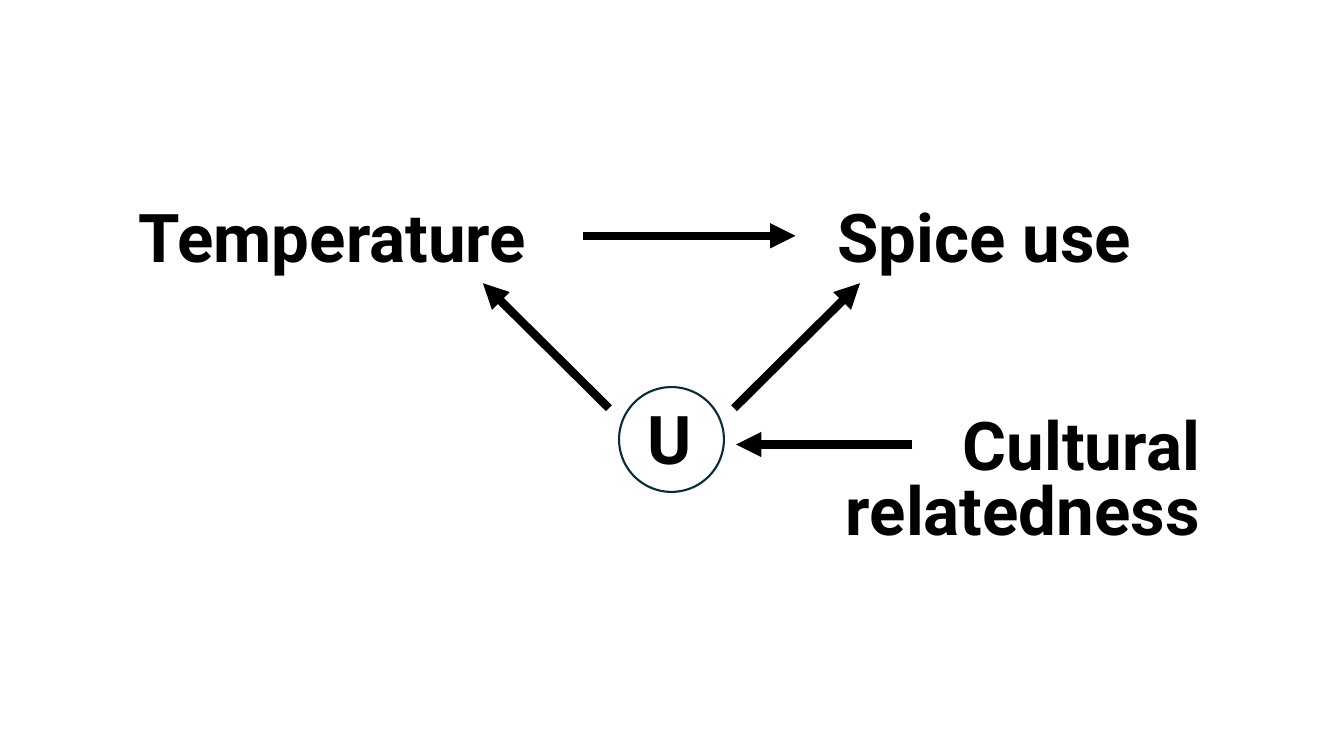
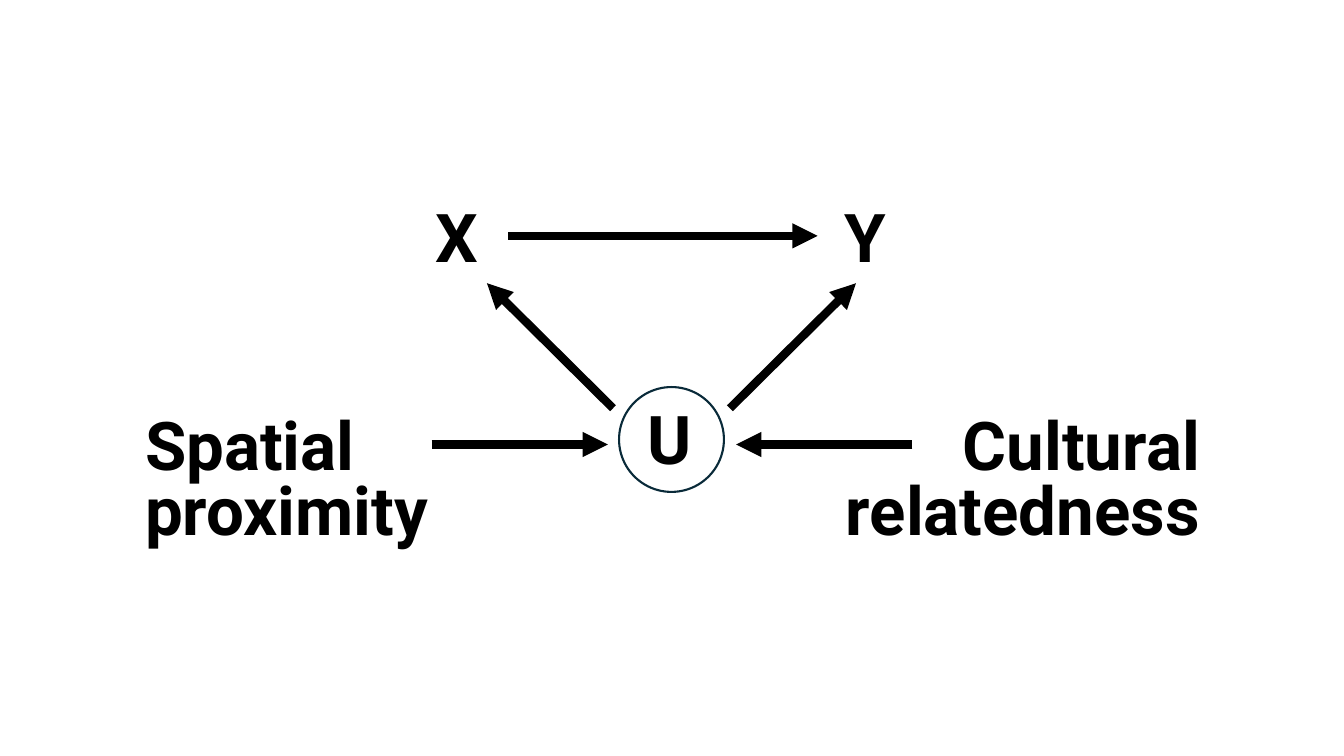
import pptx
import pptx.dml.color
import pptx.enum.shapes
import pptx.enum.text
import pptx.oxml
import pptx.oxml.ns
import pptx.util
from pptx.util import Inches

FONT = "Roboto"
INK = "000000"
CIRCLE_LINE = "092A39"
LABEL_HEIGHT = 0.91
CAUSE_HEIGHT = 1.39
CIRCLE_SIZE = 1.04
CENTRE = 6.66
LABEL_TOP = 1.89
CIRCLE_TOP = 3.84
CAUSE_TOP = 4.11


def color(value):
    return pptx.dml.color.RGBColor.from_string(value)


def add_label(slide, text, left, top, width, height=LABEL_HEIGHT,
              wrap=False, align=pptx.enum.text.PP_ALIGN.LEFT, spacing=1.0):
    box = slide.shapes.add_textbox(Inches(left), Inches(top), Inches(width), Inches(height))
    frame = box.text_frame
    frame.word_wrap = wrap
    frame.auto_size = pptx.enum.text.MSO_AUTO_SIZE.SHAPE_TO_FIT_TEXT
    frame.text = text
    paragraph = frame.paragraphs[0]
    paragraph.alignment = align
    paragraph.line_spacing = spacing
    font = paragraph.runs[0].font
    font.name = FONT
    font.size = pptx.util.Pt(48)
    font.bold = True
    font.color.rgb = color(INK)


def add_arrow(slide, start, end):
    arrow = slide.shapes.add_connector(
        pptx.enum.shapes.MSO_CONNECTOR.STRAIGHT, *map(Inches, start + end))
    arrow.line.color.rgb = color(INK)
    arrow.line.width = pptx.util.Pt(6)
    tail = pptx.oxml.parse_xml(
        f'<a:tailEnd {pptx.oxml.ns.nsdecls("a")} type="triangle"/>')
    arrow.line._get_or_add_ln().append(tail)
    effects = pptx.oxml.parse_xml(f'<a:effectLst {pptx.oxml.ns.nsdecls("a")}/>')
    arrow._element.spPr.append(effects)


def add_variable_pair(slide, top, exposure, outcome, arrow_span):
    for text, left, width in (exposure, outcome):
        add_label(slide, text, left, top, width)
    start, end = arrow_span
    middle = top + 0.45
    add_arrow(slide, (start, middle), (end, middle))


def add_confounder(slide, centre, top, arrow_gap):
    for side in (-1, 1):
        start = centre + side * arrow_gap
        add_arrow(slide, (start, top + 0.21), (start + side * 1.25, top - 1.03))
    add_label(slide, "U", centre - 0.34, top + 0.05, 0.69)
    circle = slide.shapes.add_shape(
        pptx.enum.shapes.MSO_SHAPE.OVAL, Inches(centre - CIRCLE_SIZE / 2),
        Inches(top), Inches(CIRCLE_SIZE), Inches(CIRCLE_SIZE))
    circle.shadow.inherit = False
    circle.fill.background()
    circle.line.color.rgb = color(CIRCLE_LINE)
    circle.line.width = pptx.util.Pt(1.5)


def add_cause(slide, text, left, top, width, align, arrow_start, arrow_end):
    add_label(slide, text, left, top, width, CAUSE_HEIGHT, True, align, 0.8)
    add_arrow(slide, (arrow_start, top + 0.3), (arrow_end, top + 0.3))


def add_cultural_cause(slide):
    add_cause(slide, "Cultural relatedness", 7.79, CAUSE_TOP, 4.21,
              pptx.enum.text.PP_ALIGN.RIGHT, 9.05, 7.3)


def add_spatial_cause(slide):
    add_cause(slide, "Spatial proximity", 1.34, CAUSE_TOP, 3.79,
              pptx.enum.text.PP_ALIGN.LEFT, 4.28, 6.03)


def add_diagram_slide(presentation, exposure, outcome, arrow_span, arrow_gap, causes):
    slide = presentation.slides.add_slide(presentation.slide_layouts[6])
    add_variable_pair(slide, LABEL_TOP, exposure, outcome, arrow_span)
    add_confounder(slide, CENTRE, CIRCLE_TOP, arrow_gap)
    for add_cause_region in causes:
        add_cause_region(slide)


def main():
    presentation = pptx.Presentation()
    presentation.slide_width = Inches(13.33)
    presentation.slide_height = Inches(7.5)
    add_diagram_slide(presentation, ("Temperature", 1.28, 4.23), ("Spice use", 8.21, 3.35),
                      (5.78, 7.89), 0.62, [add_cultural_cause])
    add_diagram_slide(presentation, ("X", 4.22, 0.65), ("Y", 8.28, 0.65),
                      (5.04, 8.11), 0.58, [add_spatial_cause, add_cultural_cause])
    presentation.save("out.pptx")


if __name__ == "__main__":
    main()
